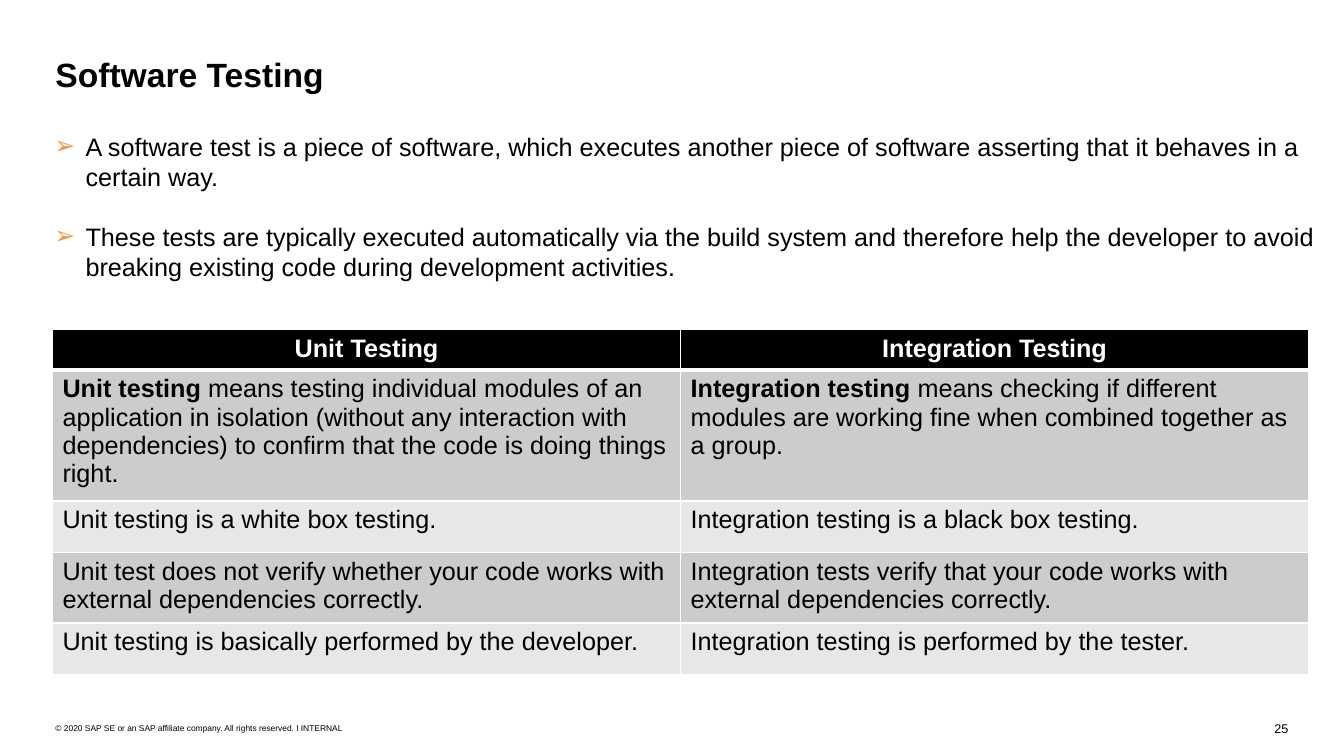
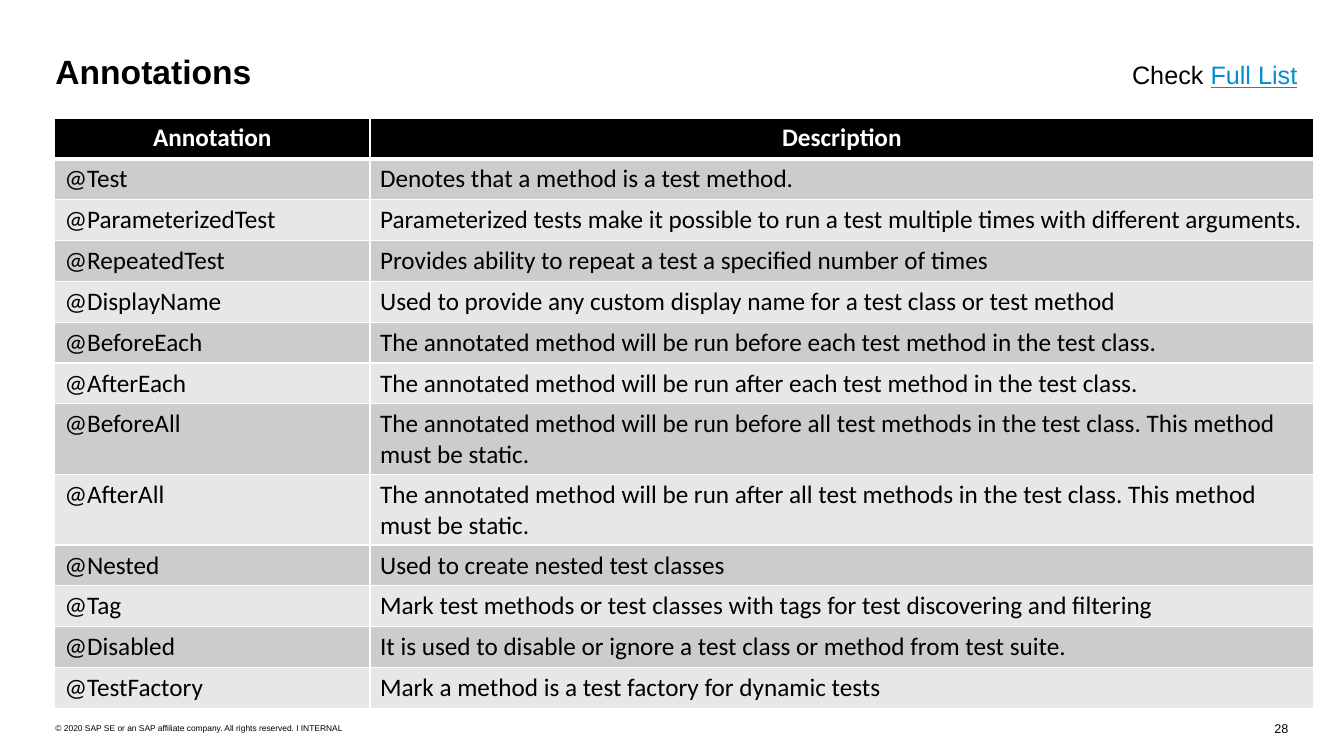
from lxml import etree
from pptx import Presentation
from pptx import util as u
from pptx.dml import color
from pptx.enum import text
from pptx.oxml import ns

BLACK, WHITE, LINK, BULLET = "000000", "FFFFFF", "008FD3", "F79646"
BANDS = ("CCCCCC", "E7E7E7")
LEFT = 0.54

TESTING_POINTS = [
    "A software test is a piece of software, which executes another piece of software "
    "asserting that it behaves in a certain way.",
    "These tests are typically executed automatically via the build system and therefore "
    "help the developer to avoid breaking existing code during development activities.",
]
TESTING_ROWS = [
    ("Unit Testing", "Integration Testing"),
    ([("Unit testing", {"bold": True}),
      " means testing individual modules of an application in isolation (without any "
      "interaction with dependencies) to confirm that the code is doing things right."],
     [("Integration testing", {"bold": True}),
      " means checking if different modules are working fine when combined together as a group."]),
    ("Unit testing is a white box testing.", "Integration testing is a black box testing."),
    ("Unit test does not verify whether your code works with external dependencies correctly.",
     "Integration tests verify that your code works with external dependencies correctly."),
    ("Unit testing is basically performed by the developer.",
     "Integration testing is performed by the tester."),
]
ANNOTATION_ROWS = [
    ("Annotation", "Description"),
    ("@Test", "Denotes that a method is a test method."),
    ("@ParameterizedTest",
     "Parameterized tests make it possible to run a test multiple times with different arguments."),
    ("@RepeatedTest", "Provides ability to repeat a test a specified number of times"),
    ("@DisplayName", "Used to provide any custom display name for a test class or test method"),
    ("@BeforeEach", "The annotated method will be run before each test method in the test class."),
    ("@AfterEach", "The annotated method will be run after each test method in the test class."),
    ("@BeforeAll", "The annotated method will be run before all test methods in the test class. "
                   "This method must be static."),
    ("@AfterAll", "The annotated method will be run after all test methods in the test class. "
                  "This method must be static."),
    ("@Nested", "Used to create nested test classes"),
    ("@Tag", "Mark test methods or test classes with tags for test discovering and filtering"),
    ("@Disabled", "It is used to disable or ignore a test class or method from test suite."),
    ("@TestFactory", "Mark a method is a test factory for dynamic tests"),
]


def rgb(value):
    return color.RGBColor.from_string(value)


def add_xml(parent, tag, **attributes):
    return etree.SubElement(parent, ns.qn(tag), attributes)


def write(paragraph, content, size, font="Arial", ink=BLACK, bold=False):
    for part in [content] if isinstance(content, str) else content:
        words, style = (part, {}) if isinstance(part, str) else part
        run = paragraph.add_run()
        run.text = words
        run.font.name = font
        run.font.size = u.Pt(size)
        run.font.bold = style.get("bold", bold)
        run.font.underline = style.get("underline", False)
        run.font.color.rgb = rgb(style.get("ink", ink))


def add_text_frame(slide, box, wrap=True):
    frame = slide.shapes.add_textbox(*map(u.Inches, box)).text_frame
    frame.word_wrap = wrap
    return frame


def add_line(slide, words, box, size, inset=0.01, indent=0.01, bold=False):
    frame = add_text_frame(slide, box)
    frame.margin_left = frame.margin_right = frame.margin_bottom = 0
    frame.margin_top = u.Inches(inset)
    paragraph = frame.paragraphs[0]
    paragraph._p.get_or_add_pPr().set("marL", str(u.Inches(indent)))
    write(paragraph, words, size, bold=bold)


def add_footer(slide, number):
    add_line(slide, str(number), (12.6, 7.15, 0.22, 0.17), 9, inset=0, indent=0.04)
    add_line(slide, "© 2020 SAP SE or an SAP affiliate company. All rights reserved. ǀ INTERNAL",
             (LEFT, 7.16, 2.97, 0.12), 6)


def add_points(slide, points, box):
    frame = add_text_frame(slide, box)
    for index, point in enumerate(points):
        paragraph = frame.add_paragraph() if index else frame.paragraphs[0]
        if index:
            paragraph.space_before = u.Pt(21)
        properties = paragraph._p.get_or_add_pPr()
        properties.set("marL", str(u.Inches(0.31)))
        properties.set("indent", str(u.Inches(-0.31)))
        add_xml(add_xml(properties, "a:buClr"), "a:srgbClr", val=BULLET)
        add_xml(properties, "a:buFont", typeface="Arial")
        add_xml(properties, "a:buChar", char="➢")
        write(paragraph, point, 18)


def style_cell(cell, fill, borders):
    properties = cell._tc.get_or_add_tcPr()
    for side, width in borders.items():
        line = add_xml(properties, f"a:ln{side}", w=str(u.Pt(width)))
        add_xml(add_xml(line, "a:solidFill"), "a:srgbClr", val=WHITE)
    cell.fill.solid()
    cell.fill.fore_color.rgb = rgb(fill)


def add_banded_table(slide, rows, left, top, widths, heights, font):
    table = slide.shapes.add_table(
        len(rows), len(widths), u.Inches(left), u.Inches(top),
        u.Inches(sum(widths)), u.Inches(sum(heights))).table
    for column, width in zip(table.columns, widths):
        column.width = u.Inches(width)
    for index, (row, height) in enumerate(zip(rows, heights)):
        table.rows[index].height = u.Inches(height)
        header = index == 0
        fill = BLACK if header else BANDS[(index - 1) % 2]
        borders = {"L": 1, "R": 1, "T": 3 if index == 1 else 1, "B": 3 if header else 1}
        for column, content in enumerate(row):
            cell = table.cell(index, column)
            style_cell(cell, fill, borders)
            paragraph = cell.text_frame.paragraphs[0]
            paragraph.alignment = text.PP_ALIGN.CENTER if header else text.PP_ALIGN.LEFT
            write(paragraph, content, 18, font, WHITE if header else BLACK, header)


def add_slide(deck, title, title_top, number):
    slide = deck.slides.add_slide(deck.slide_layouts[6])
    add_line(slide, title, (LEFT, title_top, 2.88, 0.42), 24, bold=True)
    add_footer(slide, number)
    return slide


def build_testing(deck):
    slide = add_slide(deck, "Software Testing", 0.52, 25)
    add_points(slide, TESTING_POINTS, (0.44, 1.25, 12.72, 1.62))
    add_banded_table(slide, TESTING_ROWS, 0.52, 3.27, (6.23, 6.23),
                     (0.39, 1.3, 0.51, 0.7, 0.51), "Arial")


def build_annotations(deck):
    slide = add_slide(deck, "Annotations", 0.49, 28)
    single_height = 5.27 / len(ANNOTATION_ROWS)
    heights = [0.7 if "must be static" in description else single_height
               for _, description in ANNOTATION_ROWS]
    add_banded_table(slide, ANNOTATION_ROWS, LEFT, 1.17, (3.13, 9.36), heights, "Calibri")
    full_list = add_text_frame(slide, (11.13, 0.54, 1.86, 0.4), wrap=False)
    write(full_list.paragraphs[0],
          ["Check ", ("Full List", {"ink": LINK, "underline": True})], 18)


def main():
    deck = Presentation()
    deck.slide_width, deck.slide_height = u.Inches(13.33), u.Inches(7.5)
    build_testing(deck)
    build_annotations(deck)
    deck.save("out.pptx")


if __name__ == "__main__":
    main()
